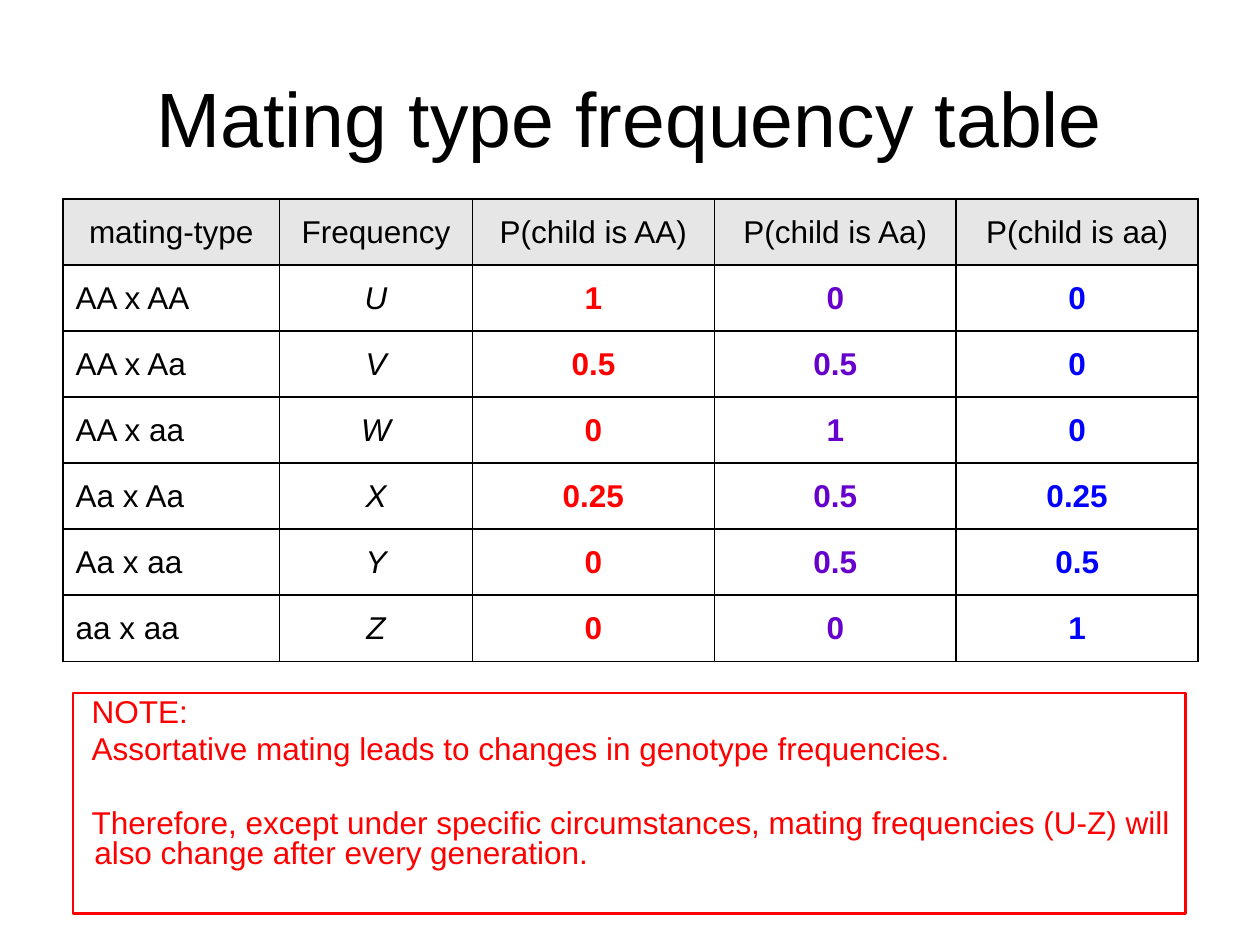
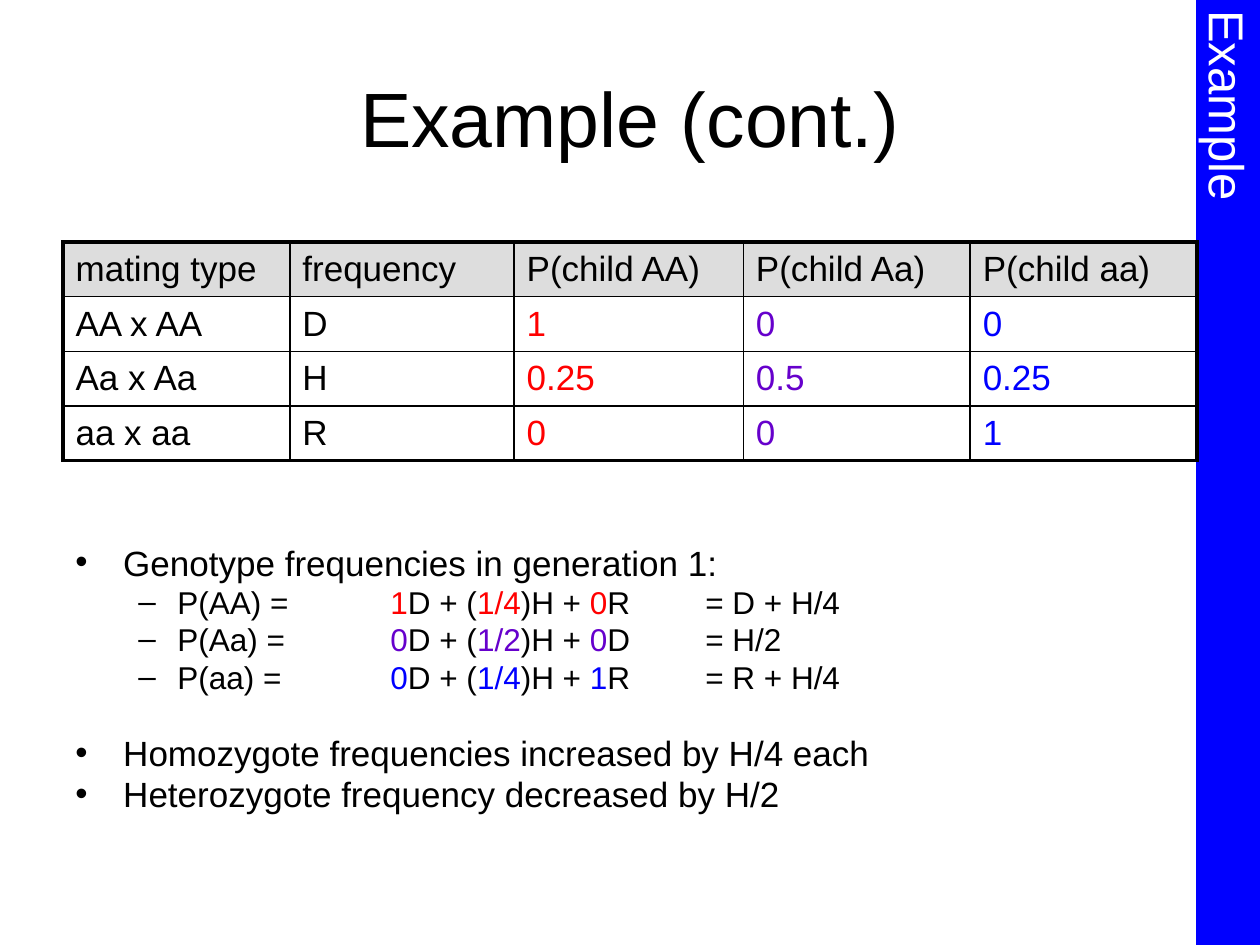
"""Builds two slides on mating type frequencies under assortative mating."""
from lxml import etree
from pptx import Presentation
from pptx.dml.color import RGBColor
from pptx.enum.shapes import MSO_SHAPE
from pptx.enum.text import MSO_ANCHOR, PP_ALIGN
from pptx.oxml.ns import qn
from pptx.util import Inches, Pt

LEFT, CENTER = PP_ALIGN.LEFT, PP_ALIGN.CENTER
MIDDLE = MSO_ANCHOR.MIDDLE
RECTANGLE = MSO_SHAPE.RECTANGLE

FONT = "Arial"
BLACK, WHITE = "000000", "FFFFFF"
RED, PURPLE, BLUE = "FF0000", "6600CC", "0000FF"
COLUMN_COLORS = [BLACK, BLACK, RED, PURPLE, BLUE]
THIN, THICK = 1, 2.25
LINE_SPACING = 0.8

MATING_ROWS = [
    ("mating-type", "Frequency", "P(child is AA)", "P(child is Aa)", "P(child is aa)"),
    ("AA x AA", "U", "1", "0", "0"),
    ("AA x Aa", "V", "0.5", "0.5", "0"),
    ("AA x aa", "W", "0", "1", "0"),
    ("Aa x Aa", "X", "0.25", "0.5", "0.25"),
    ("Aa x aa", "Y", "0", "0.5", "0.5"),
    ("aa x aa", "Z", "0", "0", "1"),
]
MATING_WIDTHS = [1.72, 1.53, 1.92, 1.92, 1.92]

EXAMPLE_ROWS = [
    ("mating type", "frequency", "P(child AA)", "P(child Aa)", "P(child aa)"),
    ("AA x AA", "D", "1", "0", "0"),
    ("Aa x Aa", "H", "0.25", "0.5", "0.25"),
    ("aa x aa", "R", "0", "0", "1"),
]
EXAMPLE_WIDTHS = [1.8, 1.78, 1.82, 1.8, 1.8]

NOTE = [
    ("NOTE:", 0),
    ("Assortative mating leads to changes in genotype frequencies.", 4.1),
    ("Therefore, except under specific circumstances, mating frequencies "
     "(U-Z) will also change after every generation.", 24.8),
]

GENERATION_HEADING = "Genotype frequencies in generation 1:"
FORMULAS = [
    ("AA", RED, ("1", "1/4", "0"), "R", "D + H/4"),
    ("Aa", PURPLE, ("0", "1/2", "0"), "D", "H/2"),
    ("aa", BLUE, ("0", "1/4", "1"), "R", "R + H/4"),
]
CONCLUSIONS = [
    ("Homozygote frequencies increased by H/4 each", 25.3),
    ("Heterozygote frequency decreased by H/2", 4.6),
]


def rgb(color):
    return RGBColor.from_string(color)


def style(font, size, color=None, bold=False, italic=False):
    font.name, font.size, font.bold, font.italic = FONT, Pt(size), bold, italic
    if color:
        font.color.rgb = rgb(color)


def add_box(page, left, top, width, height):
    box = page.shapes.add_textbox(Inches(left), Inches(top), Inches(width), Inches(height))
    box.text_frame.word_wrap = True
    return box


def add_title(page, text):
    frame = add_box(page, 0.5, 0.3, 9, 1.25).text_frame
    frame.vertical_anchor = MIDDLE
    para = frame.paragraphs[0]
    para.text, para.alignment = text, CENTER
    style(para.font, 44, BLACK)


def add_paragraph(frame, spans, size, before, margin, indent, bullet=None):
    first = frame.paragraphs[0]
    para = frame.add_paragraph() if first.runs else first
    for text, color in spans:
        span = para.add_run()
        span.text = text
        span.font.color.rgb = rgb(color)
    settings = para._p.get_or_add_pPr()
    settings.set("marL", str(Inches(margin)))
    settings.set("indent", str(Inches(indent)))
    if bullet:
        etree.SubElement(settings, qn("a:buFont"), typeface=FONT)
        etree.SubElement(settings, qn("a:buChar"), char=bullet)
    para.line_spacing = LINE_SPACING
    para.space_before = Pt(before)
    style(para.font, size)


def add_borders(cell, widths):
    settings = cell._tc.get_or_add_tcPr()
    for side, width in zip("LRTB", widths):
        line = etree.SubElement(settings, qn(f"a:ln{side}"), w=str(Pt(width)))
        fill = etree.SubElement(line, qn("a:solidFill"))
        etree.SubElement(fill, qn("a:srgbClr"), val=BLACK)


def add_grid(page, rows, widths, top, height, size, header_fill, outer, emphasis):
    frame = page.shapes.add_table(len(rows), len(widths), Inches(0.5), Inches(top),
                                  Inches(9), Inches(height))
    table = frame.table
    table.first_row = table.horz_banding = False
    last_row, last_column = len(rows) - 1, len(widths) - 1
    for column, width in zip(table.columns, widths):
        column.width = Inches(width)
    for i, row in enumerate(rows):
        for j, text in enumerate(row):
            cell = table.cell(i, j)
            at_edges = (j == 0, j == last_column, i == 0, i == last_row)
            add_borders(cell, [outer if at_edge else THIN for at_edge in at_edges])
            cell.vertical_anchor = MIDDLE
            is_header = i == 0
            if is_header:
                cell.fill.solid()
                cell.fill.fore_color.rgb = rgb(header_fill)
            else:
                cell.fill.background()
            para = cell.text_frame.paragraphs[0]
            para.text = text
            para.alignment = CENTER if emphasis and (is_header or j > 0) else LEFT
            style(para.font, size, BLACK if is_header else COLUMN_COLORS[j],
                  bold=emphasis and not is_header and j > 1,
                  italic=emphasis and not is_header and j == 1)


def add_side_band(page, text):
    band = page.shapes.add_shape(RECTANGLE, Inches(9.5), 0, Inches(0.5), Inches(7.5))
    band.shadow.inherit = False
    band.fill.solid()
    band.fill.fore_color.rgb = band.line.color.rgb = rgb(BLUE)
    band.line.width = Pt(1)
    frame = band.text_frame
    frame.margin_left = frame.margin_right = 0
    frame.margin_top = frame.margin_bottom = Inches(0.08)
    frame.vertical_anchor = MIDDLE
    band.element.txBody.bodyPr.set("vert", "eaVert")
    para = frame.paragraphs[0]
    para.text, para.alignment = text, LEFT
    style(para.font, 28, WHITE)


def build_mating_page(page):
    add_title(page, "Mating type frequency table")
    add_grid(page, MATING_ROWS, MATING_WIDTHS, 1.58, 3.67, 18, "E6E6E6", THIN, True)
    note = add_box(page, 0.58, 5.5, 8.83, 1.75)
    note.line.color.rgb = rgb(RED)
    note.line.width = Pt(1.5)
    for text, before in NOTE:
        add_paragraph(note.text_frame, [(text, RED)], 18, before, 0.07, -0.02)


def build_example_page(page):
    add_side_band(page, "Example")
    add_title(page, "Example (cont.)")
    frame = add_box(page, 0.5, 4.31, 9, 2.39).text_frame
    add_paragraph(frame, [(GENERATION_HEADING, BLACK)], 20, 0, 0.38, -0.38, "•")
    for genotype, color, (first, second, third), symbol, result in FORMULAS:
        spans = [
            (f"P({genotype}) = \t\t", BLACK), (first, color), ("D + (", BLACK),
            (second, color), (")H + ", BLACK), (third, color),
            (f"{symbol}\t\t= {result}", BLACK),
        ]
        add_paragraph(frame, spans, 18, 4.1, 0.81, -0.31, "–")
    for text, before in CONCLUSIONS:
        add_paragraph(frame, [(text, BLACK)], 20, before, 0.38, -0.38, "•")
    add_grid(page, EXAMPLE_ROWS, EXAMPLE_WIDTHS, 1.92, 1.73, 20, "DDDDDD", THICK, False)


def main():
    deck = Presentation()
    deck.slide_width, deck.slide_height = Inches(10), Inches(7.5)
    for build in (build_mating_page, build_example_page):
        build(deck.slides.add_slide(deck.slide_layouts[6]))
    deck.save("out.pptx")


if __name__ == "__main__":
    main()
